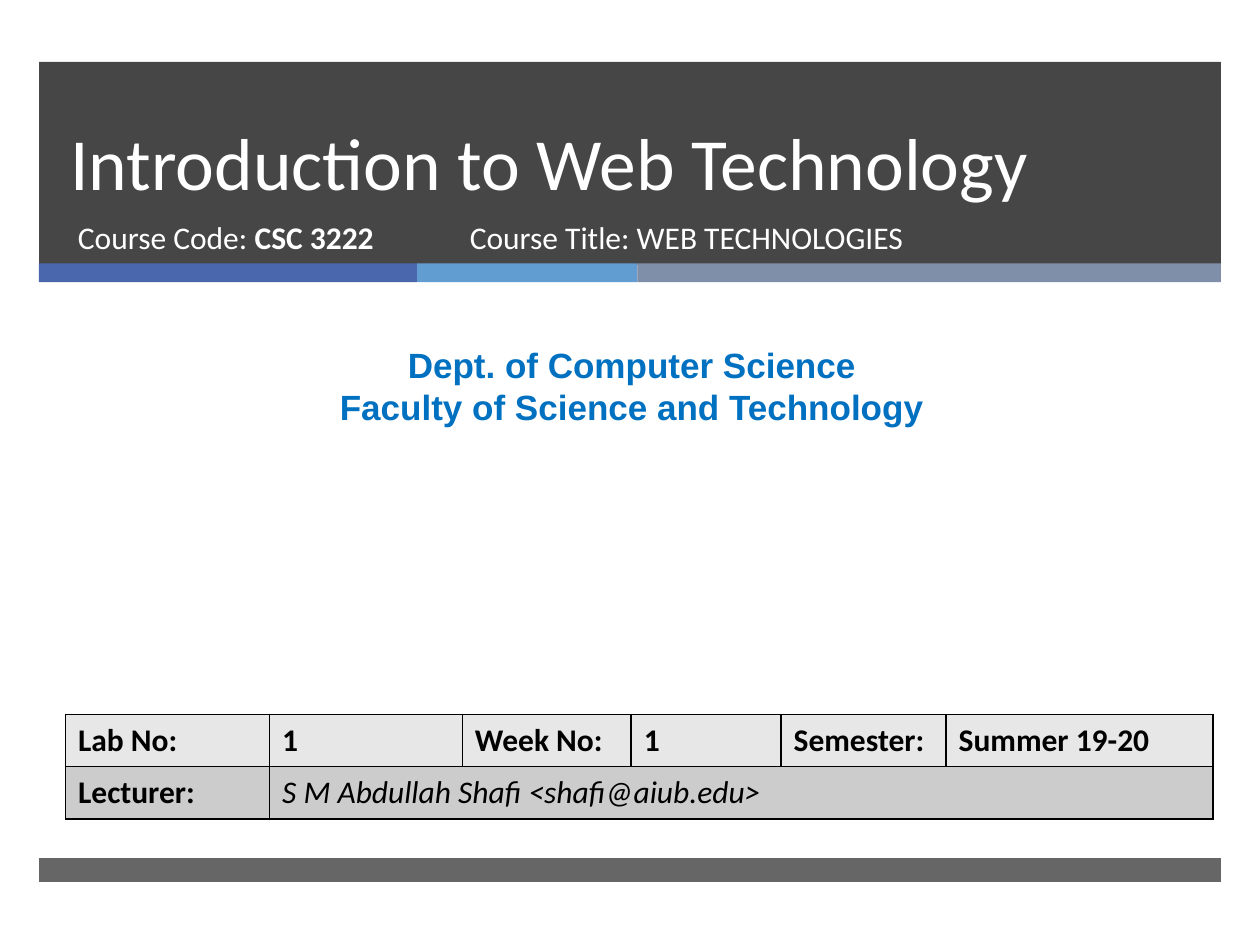
from lxml import etree
from pptx import Presentation
from pptx.dml.color import RGBColor
from pptx.enum.shapes import MSO_SHAPE
from pptx.enum.text import MSO_ANCHOR, PP_ALIGN
from pptx.oxml.ns import qn
from pptx.util import Inches, Pt

RECT = MSO_SHAPE.RECTANGLE
TOP, MIDDLE, BOTTOM = MSO_ANCHOR.TOP, MSO_ANCHOR.MIDDLE, MSO_ANCHOR.BOTTOM
LEFT, CENTER = PP_ALIGN.LEFT, PP_ALIGN.CENTER

WHITE = RGBColor(0xFF, 0xFF, 0xFF)
BLACK = RGBColor(0, 0, 0)
DARK = RGBColor(0x26, 0x26, 0x26)
NAVY = RGBColor(0x4A, 0x66, 0xAC)
SKY = RGBColor(0x62, 0x9D, 0xD1)
SLATE = RGBColor(0x7F, 0x8F, 0xA9)
BLUE = RGBColor(0x00, 0x70, 0xC0)
PALE = RGBColor(0xE7, 0xE7, 0xE7)
GRAY = RGBColor(0xCC, 0xCC, 0xCC)


def write(frame, lines, size=18, font="Calibri", color=WHITE, bold=False,
          italic=False, align=LEFT, anchor=TOP, spacing=None):
    """Fill a frame; each line is a list of (text, bold) runs or a string."""
    frame.word_wrap = True
    frame.vertical_anchor = anchor
    for i, line in enumerate(lines):
        para = frame.paragraphs[0] if i == 0 else frame.add_paragraph()
        para.alignment = align
        if spacing:
            para.line_spacing = spacing
        runs = [(line, bold)] if isinstance(line, str) else line
        for text, heavy in runs:
            run = para.add_run()
            run.text = text
            run.font.size = Pt(size)
            run.font.name = font
            run.font.color.rgb = color
            run.font.bold = heavy
            run.font.italic = italic


def add_text(slide, x, y, w, h, lines, **style):
    box = slide.shapes.add_textbox(Inches(x), Inches(y), Inches(w), Inches(h))
    write(box.text_frame, lines, **style)


def add_bar(slide, x, y, w, h, color, alpha=100):
    bar = slide.shapes.add_shape(RECT, Inches(x), Inches(y), Inches(w), Inches(h))
    bar.shadow.inherit = False
    bar.fill.solid()
    bar.fill.fore_color.rgb = color
    bar.line.fill.background()
    if alpha < 100:
        tint = bar.fill._xPr.find(".//" + qn("a:srgbClr"))
        etree.SubElement(tint, qn("a:alpha"), val=str(alpha * 1000))


def add_border(cell, color=BLACK, width=1):
    props = cell._tc.get_or_add_tcPr()
    for i, side in enumerate(("lnL", "lnR", "lnT", "lnB")):
        line = etree.Element(qn("a:" + side), w=str(Pt(width)))
        fill = etree.SubElement(line, qn("a:solidFill"))
        etree.SubElement(fill, qn("a:srgbClr"), val=str(color))
        props.insert(i, line)


def add_header(slide, x, y, w):
    # Dark band with a three-colour strip under it
    add_bar(slide, x, y, w, 1.61, DARK, alpha=85)
    left = x
    for width, color in ((3, NAVY), (1.75, SKY), (w - 4.75, SLATE)):
        add_bar(slide, left, y + 1.6, width, 0.15, color)
        left += width
    # Title and course details
    add_text(slide, x + 0.15, y, 8.54, 1.19, ["Introduction to Web Technology"],
             size=42, anchor=BOTTOM, spacing=Pt(46))
    add_text(slide, x + 0.21, y + 1.19, 3.05, 0.53,
             [[("Course Code: ", False), ("CSC 3222", True)]])
    add_text(slide, x + 3.32, y + 1.19, 4.55, 0.53,
             ["Course Title: WEB TECHNOLOGIES"])


def add_dept(slide, x, y, w, h):
    add_text(slide, x, y, w, h,
             ["Dept. of Computer Science", "Faculty of Science and Technology"],
             size=20, font="Arial", color=BLUE, bold=True, align=CENTER)


def add_info(slide, x, y, w, h):
    rows = (
        ("Lab No:", "1", "Week No:", "1", "Semester:", "Summer 19-20"),
        ("Lecturer:", "S M Abdullah Shafi <shafi@aiub.edu>"),
    )
    widths = (1.62, 1.53, 1.34, 1.19, 1.31, 2.12)
    table = slide.shapes.add_table(
        len(rows), len(widths), Inches(x), Inches(y), Inches(w), Inches(h)).table
    for col, width in zip(table.columns, widths):
        col.width = Inches(width)
    table.cell(1, 1).merge(table.cell(1, 5))
    for r, (row, shade) in enumerate(zip(rows, (PALE, GRAY))):
        for c in range(len(widths)):
            cell = table.cell(r, c)
            cell.fill.solid()
            cell.fill.fore_color.rgb = shade
            add_border(cell)
            if c < len(row):
                name = (r, c) == (1, 1)
                write(cell.text_frame, [row[c]], color=BLACK,
                      bold=not name, italic=name)
                cell.vertical_anchor = MIDDLE


def main():
    deck = Presentation()
    deck.slide_width, deck.slide_height = Inches(10), Inches(7.5)
    slide = deck.slides.add_slide(deck.slide_layouts[6])
    add_header(slide, 0.31, 0.49, 9.38)
    add_bar(slide, 0.31, 6.81, 9.38, 0.19, DARK, alpha=70)  # Footer
    add_dept(slide, 0.08, 2.68, 9.87, 0.77)
    add_info(slide, 0.52, 5.67, 9.12, 0.83)
    deck.save("out.pptx")


if __name__ == "__main__":
    main()
